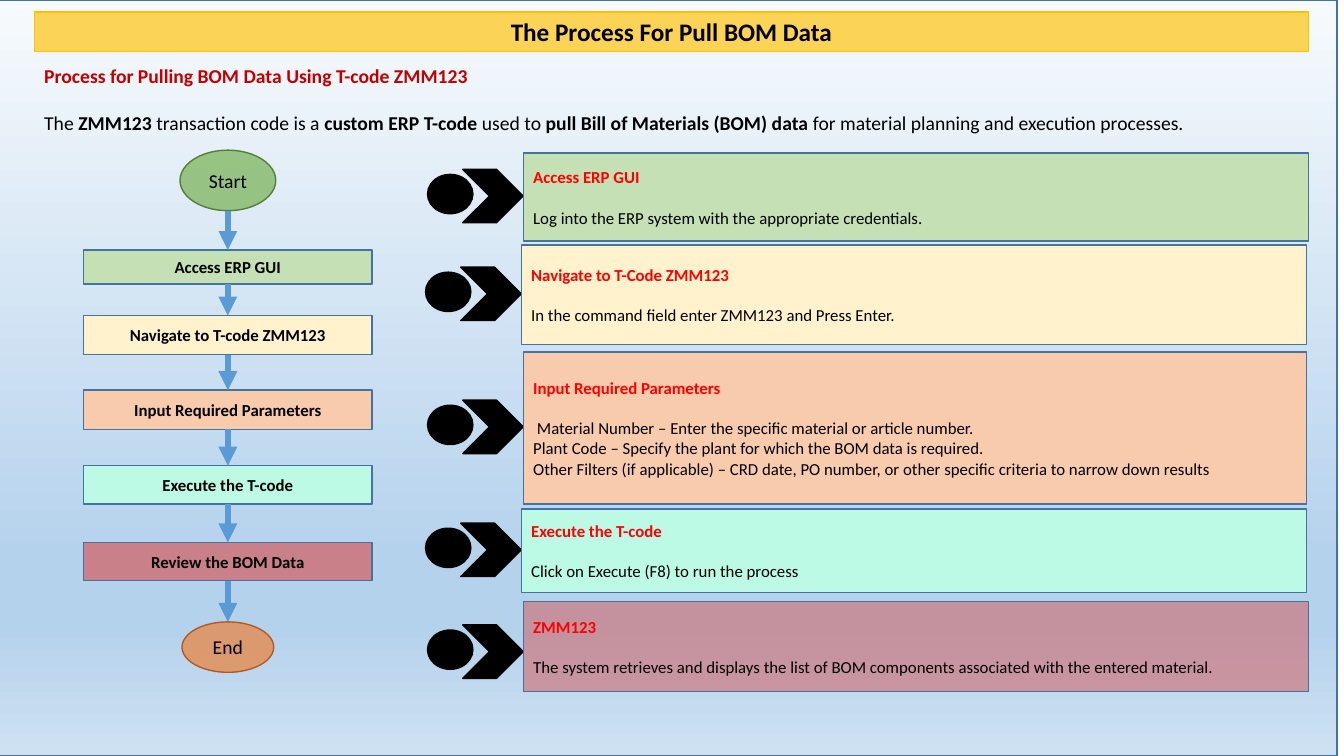
from dataclasses import dataclass
from itertools import pairwise

from lxml import etree
from pptx import Presentation
from pptx.dml.color import RGBColor
from pptx.enum.shapes import MSO_CONNECTOR as Connector, MSO_SHAPE as Shape
from pptx.enum.text import MSO_ANCHOR as Anchor, PP_ALIGN as Align
from pptx.oxml import parse_xml
from pptx.oxml.ns import nsdecls, qn
from pptx.util import Inches, Pt


@dataclass(frozen=True)
class Theme:
    """Colours, type sizes and line widths of the slide."""
    font: str = "Calibri"
    title_size: float = 18
    lead_size: float = 14
    body_size: float = 12
    line_height: float = 1.22
    outline_width: float = 1
    arrow_width: float = 4.5
    black: str = "000000"
    outline: str = "43739E"
    gold: str = "FFC000"
    heading: str = "C00000"
    step_heading: str = "FF0000"
    arrow: str = "5B9BD5"
    green: str = "C5E0B4"
    yellow: str = "FFF2CC"
    orange: str = "F8CBAD"
    mint: str = "BCFAE5"
    rose: str = "CE6C71"
    start: str = "70AD47"
    start_line: str = "538035"
    end: str = "ED7D31"
    end_line: str = "AF5C24"
    sky: tuple = ((0, "F7FAFD"), (74, "B5D2EC"), (83, "B5D2EC"), (100, "CEE1F2"))


THEME = Theme()

INTRO = [
    ("The ", False), ("ZMM123", True), (" transaction code is a ", False),
    ("custom ERP T-code", True), (" used to ", False),
    ("pull Bill of Materials (BOM) data", True),
    (" for material planning and execution processes.", False),
]

FLOW_AXIS = 2.26
FLOW = [
    ("Start", Shape.OVAL, 1.49, 0.95, 0.6, THEME.start, 66, THEME.start_line),
    ("Access ERP GUI", Shape.RECTANGLE, 2.48, 2.86, 0.34, THEME.green, 100, THEME.outline),
    ("Navigate to T-code ZMM123", Shape.RECTANGLE, 3.13, 2.86, 0.39, THEME.yellow, 100, THEME.outline),
    ("Input Required Parameters", Shape.RECTANGLE, 3.87, 2.86, 0.39, THEME.orange, 100, THEME.outline),
    ("Execute the T-code", Shape.RECTANGLE, 4.62, 2.86, 0.38, THEME.mint, 100, THEME.outline),
    ("Review the BOM Data", Shape.RECTANGLE, 5.38, 2.86, 0.38, THEME.rose, 80, THEME.outline),
    ("End", Shape.OVAL, 6.17, 0.91, 0.5, THEME.end, 67, THEME.end_line),
]

PANELS = [
    ((5.19, 1.52, 7.79, 0.87), 1.68, THEME.green, 100, "Access ERP GUI",
     ["Log into the ERP system with the appropriate credentials."]),
    ((5.17, 2.43, 7.79, 0.99), 2.65, THEME.yellow, 100, "Navigate to T-Code ZMM123",
     ["In the command field enter ZMM123 and Press Enter."]),
    ((5.19, 3.49, 7.77, 1.51), 3.97, THEME.orange, 100, "Input Required Parameters",
     [" Material Number – Enter the specific material or article number.",
      "Plant Code – Specify the plant for which the BOM data is required.",
      "Other Filters (if applicable) – CRD date, PO number, or other specific criteria "
      "to narrow down results"]),
    ((5.17, 5.05, 7.79, 0.83), 5.19, THEME.mint, 100, "Execute the T-code",
     ["Click on Execute (F8) to run the process"]),
    ((5.19, 5.97, 7.79, 0.89), 6.2, THEME.rose, 62, "ZMM123",
     ["The system retrieves and displays the list of BOM components associated "
      "with the entered material."]),
]


def add_text(paragraph, text, size=THEME.body_size, color=THEME.black, bold=False, align=Align.LEFT):
    """Append a formatted run to a paragraph."""
    paragraph.alignment = align
    run = paragraph.add_run()
    run.text = text
    run.font.name = THEME.font
    run.font.size = Pt(size)
    run.font.bold = bold
    run.font.color.rgb = RGBColor.from_string(color)


def blank_line(size):
    """Return the height of one line of text as paragraph spacing."""
    return Pt(round(size * THEME.line_height, 1))


def paint(shape, fill, line, opacity=100):
    """Set the fill, its opacity and the outline of a shape."""
    shape.fill.solid()
    shape.fill.fore_color.rgb = RGBColor.from_string(fill)
    if opacity < 100:
        color = shape.element.spPr.find(qn("a:solidFill"))[0]
        etree.SubElement(color, qn("a:alpha"), val=str(opacity * 1000))
    shape.line.color.rgb = RGBColor.from_string(line)
    shape.line.width = Pt(THEME.outline_width)


def add_block(slide, kind, box, fill, line, opacity=100):
    """Add a painted preset shape without a shadow."""
    shape = slide.shapes.add_shape(kind, *map(Inches, box))
    shape.shadow.inherit = False
    paint(shape, fill, line, opacity)
    shape.text_frame.word_wrap = True
    shape.text_frame.vertical_anchor = Anchor.MIDDLE
    return shape


def add_background(slide, box):
    """Lay an outlined sky gradient behind everything else."""
    shape = add_block(slide, Shape.RECTANGLE, box, THEME.sky[0][1], THEME.outline)
    stops = "".join(
        f'<a:gs pos="{position * 1000}"><a:srgbClr val="{color}"/></a:gs>'
        for position, color in THEME.sky)
    gradient = parse_xml(
        f'<a:gradFill {nsdecls("a")} rotWithShape="1"><a:gsLst>{stops}</a:gsLst>'
        '<a:lin ang="5400000" scaled="0"/></a:gradFill>')
    properties = shape.element.spPr
    properties.replace(properties.find(qn("a:solidFill")), gradient)
    slide.shapes.title.element.addprevious(shape.element)


def add_title(slide, box, text):
    """Turn the title placeholder into the gold banner."""
    title = slide.shapes.title
    title.left, title.top, title.width, title.height = map(Inches, box)
    paint(title, THEME.gold, THEME.gold, 65)
    title.text_frame.vertical_anchor = Anchor.MIDDLE
    add_text(title.text_frame.paragraphs[0], text, size=THEME.title_size, bold=True, align=Align.CENTER)


def add_intro(slide, box):
    """Add the subtitle and the sentence that explains the code."""
    frame = slide.shapes.add_textbox(*map(Inches, box)).text_frame
    frame.word_wrap = True
    add_text(frame.paragraphs[0], "Process for Pulling BOM Data Using T-code ZMM123",
             size=THEME.lead_size, color=THEME.heading, bold=True)
    sentence = frame.add_paragraph()
    sentence.space_before = blank_line(THEME.lead_size)
    for text, bold in INTRO:
        add_text(sentence, text, size=THEME.lead_size, bold=bold)


def add_arrow(slide, upper, lower):
    """Join the bottom of one shape to the top of the next."""
    arrow = slide.shapes.add_connector(Connector.STRAIGHT, 0, 0, 0, 0)
    arrow.begin_connect(upper, 2)
    arrow.end_connect(lower, 0)
    arrow.line.color.rgb = RGBColor.from_string(THEME.arrow)
    arrow.line.width = Pt(THEME.arrow_width)
    etree.SubElement(arrow.line._get_or_add_ln(), qn("a:tailEnd"), type="triangle")
    etree.SubElement(arrow.element.spPr, qn("a:effectLst"))


def add_flow(slide, axis):
    """Stack the flowchart steps on a vertical axis and join them."""
    nodes = []
    for text, kind, top, width, height, fill, opacity, line in FLOW:
        node = add_block(slide, kind, (axis - width / 2, top, width, height), fill, line, opacity)
        is_step = kind == Shape.RECTANGLE
        add_text(node.text_frame.paragraphs[0], text, bold=is_step, align=Align.CENTER,
                 size=THEME.body_size if is_step else THEME.lead_size)
        nodes.append(node)
    for upper, lower in pairwise(nodes):
        add_arrow(slide, upper, lower)


def add_panel(slide, box, marker_top, fill, opacity, heading, lines):
    """Add a step description with a circle and chevron on its left."""
    marker_left = box[0] - 0.6
    add_block(slide, Shape.OVAL, (marker_left - 0.35, marker_top + 0.05, 0.45, 0.39),
              THEME.black, THEME.black)
    add_block(slide, Shape.CHEVRON, (marker_left, marker_top, 0.6, 0.53), THEME.black, THEME.black)
    frame = add_block(slide, Shape.RECTANGLE, box, fill, THEME.outline, opacity).text_frame
    add_text(frame.paragraphs[0], heading, color=THEME.step_heading, bold=True)
    for line in lines:
        add_text(frame.add_paragraph(), line)
    frame.paragraphs[1].space_before = blank_line(THEME.body_size)


def main():
    """Build and save the process slide."""
    presentation = Presentation()
    presentation.slide_width, presentation.slide_height = Inches(13.33), Inches(7.5)
    slide = presentation.slides.add_slide(presentation.slide_layouts[5])
    add_background(slide, (-0.07, 0, 13.33, 7.5))
    add_title(slide, (0.34, 0.12, 12.64, 0.39), "The Process For Pull BOM Data")
    add_intro(slide, (0.34, 0.58, 12.64, 0.81))
    add_flow(slide, FLOW_AXIS)
    for panel in PANELS:
        add_panel(slide, *panel)
    presentation.save("out.pptx")


if __name__ == "__main__":
    main()
